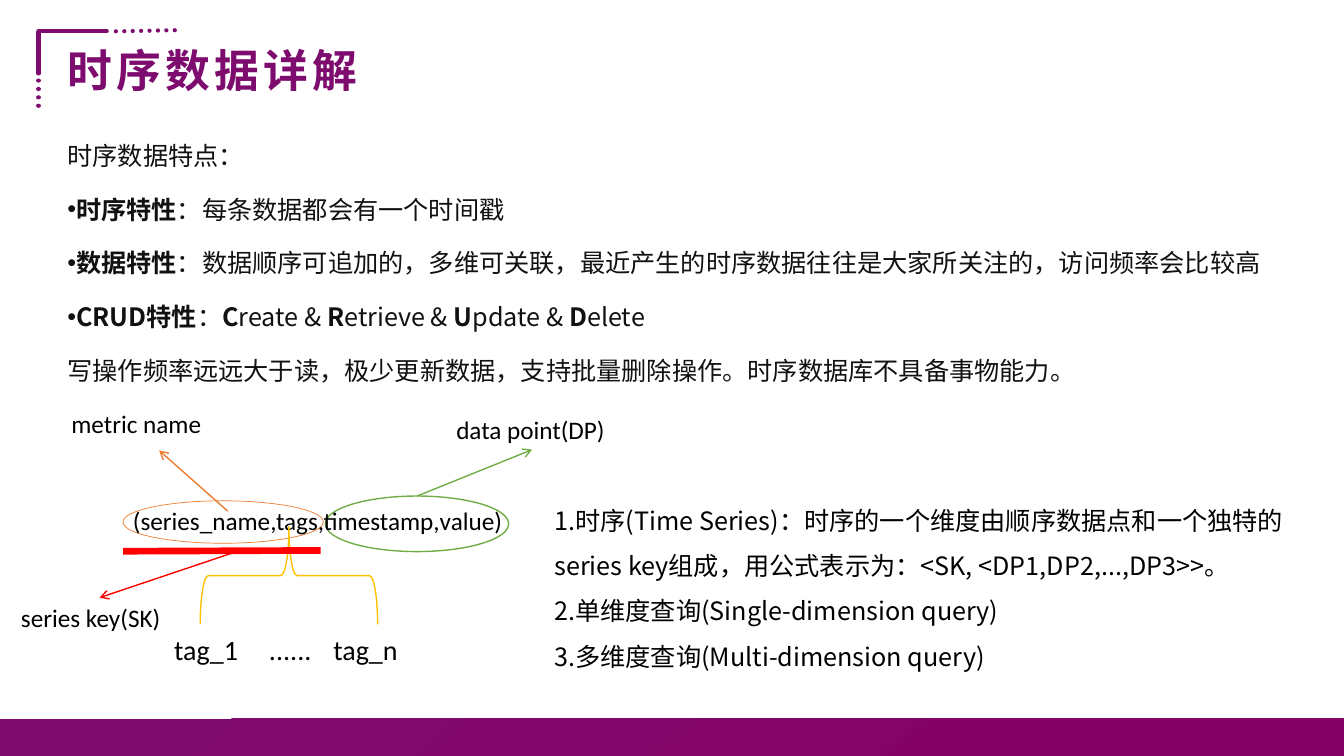
from dataclasses import dataclass

from lxml.etree import SubElement
from pptx import Presentation
from pptx.dml.color import RGBColor
from pptx.enum.dml import MSO_LINE
from pptx.enum.shapes import MSO_CONNECTOR, MSO_SHAPE
from pptx.enum.text import MSO_ANCHOR, MSO_AUTO_SIZE
from pptx.oxml.ns import qn
from pptx.util import Cm, Pt


@dataclass(frozen=True)
class Theme:
    purple: str = "7E0C6E"
    purple_end: str = "850063"
    ink: str = "111111"
    black: str = "000000"
    white: str = "FFFFFF"
    orange: str = "ED7D31"
    green: str = "70AD47"
    gold: str = "FFC000"
    red: str = "FF0000"
    chinese_font: str = "Noto Sans CJK SC"
    label_font: str = "Calibri"
    title_size: float = 32
    tag_size: float = 20
    body_size: float = 18


class SlideBuilder:
    def __init__(self, slide, theme):
        self.slide = slide
        self.theme = theme

    def shape(self, kind, left, top, width, height, fill=None, line=None, weight=1):
        shape = self.slide.shapes.add_shape(kind, Cm(left), Cm(top), Cm(width), Cm(height))
        shape.shadow.inherit = False
        if fill:
            shape.fill.solid()
            shape.fill.fore_color.rgb = RGBColor.from_string(fill)
        else:
            shape.fill.background()
        if line:
            shape.line.color.rgb = RGBColor.from_string(line)
            shape.line.width = Pt(weight)
        else:
            shape.line.fill.background()
        return shape

    def footer(self, top, width, height):
        shape = self.shape(MSO_SHAPE.RECTANGLE, 0, top, width, height)
        shape.fill.gradient()
        shape.fill.gradient_angle = 310
        for stop, color in zip(shape.fill.gradient_stops, (self.theme.purple, self.theme.purple_end)):
            stop.color.rgb = RGBColor.from_string(color)

    def line(self, start, end, color, weight=1, dotted=False, round_cap=False, arrow=False):
        points = [Cm(value) for value in (*start, *end)]
        connector = self.slide.shapes.add_connector(MSO_CONNECTOR.STRAIGHT, *points)
        connector.line.color.rgb = RGBColor.from_string(color)
        connector.line.width = Pt(weight)
        if dotted:
            connector.line.dash_style = MSO_LINE.ROUND_DOT
        properties = connector.element.spPr
        outline = properties.find(qn("a:ln"))
        if round_cap:
            outline.set("cap", "rnd")
        if arrow:
            SubElement(outline, qn("a:tailEnd"), type="arrow")
        SubElement(properties, qn("a:effectLst"))
        return connector

    def text(self, left, top, width, height, paragraphs, size, color, font,
             wrap=True, anchor=MSO_ANCHOR.TOP, spacing=None, after=None,
             bold=False, tracking=None, grow=False):
        box = self.slide.shapes.add_textbox(Cm(left), Cm(top), Cm(width), Cm(height))
        frame = box.text_frame
        frame.word_wrap = wrap
        frame.vertical_anchor = anchor
        frame.auto_size = MSO_AUTO_SIZE.SHAPE_TO_FIT_TEXT if grow else MSO_AUTO_SIZE.NONE
        for index, content in enumerate(paragraphs):
            paragraph = frame.add_paragraph() if index else frame.paragraphs[0]
            if spacing:
                paragraph.line_spacing = spacing
            if after:
                paragraph.space_after = Pt(after)
            if content.startswith("•"):
                self.bullet(paragraph)
                content = content[1:]
            for position, part in enumerate(content.split("*")):
                if part:
                    run = paragraph.add_run()
                    run.text = part
                    self.format_run(run, size, color, font, bold or position % 2 == 1, tracking)

    def bullet(self, paragraph):
        properties = paragraph._p.get_or_add_pPr()
        properties.set("marL", "0")
        properties.set("indent", str(-Cm(0.64)))
        SubElement(properties, qn("a:buFont"), typeface="Arial")
        SubElement(properties, qn("a:buChar"), char="•")

    def format_run(self, run, size, color, font, bold, tracking):
        run.font.size = Pt(size)
        run.font.bold = bold
        run.font.color.rgb = RGBColor.from_string(color)
        run.font.name = font
        properties = run._r.get_or_add_rPr()
        SubElement(properties, qn("a:ea"), typeface=font)
        if tracking:
            properties.set("spc", str(tracking * 100))

    def label(self, left, top, width, text, size=None, wrap=True):
        size = size or self.theme.body_size
        height = 1.12 if size == self.theme.tag_size else 1.02
        self.text(left, top, width, height, [text], size, self.theme.black,
                  self.theme.label_font, wrap=wrap, grow=True)


def draw_frame(builder, theme):
    builder.footer(18.11, 33.87, 0.94)
    corner_lines = [
        ((0.97, 0.79), (2.69, 0.79), False),
        ((2.92, 0.79), (4.45, 0.76), True),
        ((0.97, 0.81), (0.97, 1.85), False),
        ((0.97, 2.03), (0.97, 2.67), True),
    ]
    for start, end, dotted in corner_lines:
        builder.line(start, end, theme.purple, 3, dotted, round_cap=True)
    builder.text(1.45, 1.09, 10.9, 1.5, ["时序数据详解"], theme.title_size, theme.purple,
                 theme.chinese_font, anchor=MSO_ANCHOR.MIDDLE, spacing=0.9, bold=True, tracking=3)


def draw_features(builder, theme):
    features = [
        "时序数据特点：",
        "•*时序特性*：每条数据都会有一个时间戳",
        "•*数据特性*：数据顺序可追加的，多维可关联，最近产生的时序数据往往是大家所关注的，访问频率会比较高",
        "•*CRUD特性*：*C*reate & *R*etrieve & *U*pdate & *D*elete",
        "写操作频率远远大于读，极少更新数据，支持批量删除操作。时序数据库不具备事物能力。",
    ]
    builder.text(1.45, 3.45, 32.39, 5.97, features, theme.body_size, theme.ink,
                 theme.chinese_font, anchor=MSO_ANCHOR.MIDDLE, spacing=1.5, after=6)


def draw_series_diagram(builder, theme):
    builder.shape(MSO_SHAPE.OVAL, 3.1, 12.62, 5.05, 1.07, theme.white, theme.orange, 0.5)
    data_point = builder.shape(MSO_SHAPE.OVAL, 8.2, 12.5, 4.62, 1.4, theme.white, theme.green)
    builder.label(3.1, 12.62, 9.93, "(series_name,tags,timestamp,value)", wrap=False)

    data_arrow = builder.line((10.51, 12.5), (13.41, 11.33), theme.green, arrow=True)
    data_arrow.begin_connect(data_point, 0)
    builder.label(11.25, 10.31, 4.29, "data point(DP)", wrap=False)

    brace = builder.shape(MSO_SHAPE.LEFT_BRACE, 6.05, 12.27, 2.46, 4.47, line=theme.gold)
    brace.rotation = 90
    for left, width, tag, wrap in ((4.14, 2.11, "tag_1", False),
                                   (8.15, 2.13, "tag_n", False),
                                   (6.53, 2.06, "......", True)):
        builder.label(left, 15.82, width, tag, theme.tag_size, wrap)

    builder.label(1.55, 10.16, 5.28, "metric name")
    builder.line((5.74, 12.88), (4.01, 11.35), theme.orange, arrow=True)
    builder.line((3.1, 13.89), (8.08, 13.87), theme.red, 4.75)
    builder.label(0.28, 15.06, 4.47, "series key(SK)")
    builder.line((5.84, 13.94), (2.51, 15.06), theme.red, arrow=True)


def draw_definitions(builder, theme):
    definitions = [
        "1.时序(Time Series)：时序的一个维度由顺序数据点和一个独特的series key组成，"
        "用公式表示为：<SK, <DP1,DP2,...,DP3>>。",
        "2.单维度查询(Single-dimension query)",
        "3.多维度查询(Multi-dimension query)",
    ]
    builder.text(13.72, 12.22, 19.23, 4.75, definitions, theme.body_size, theme.black,
                 theme.chinese_font, spacing=1.5, grow=True)


def main():
    presentation = Presentation()
    presentation.slide_width = Cm(33.87)
    presentation.slide_height = Cm(19.05)
    slide = presentation.slides.add_slide(presentation.slide_layouts[6])
    theme = Theme()
    builder = SlideBuilder(slide, theme)
    draw_frame(builder, theme)
    draw_features(builder, theme)
    draw_series_diagram(builder, theme)
    draw_definitions(builder, theme)
    presentation.save("out.pptx")


if __name__ == "__main__":
    main()
